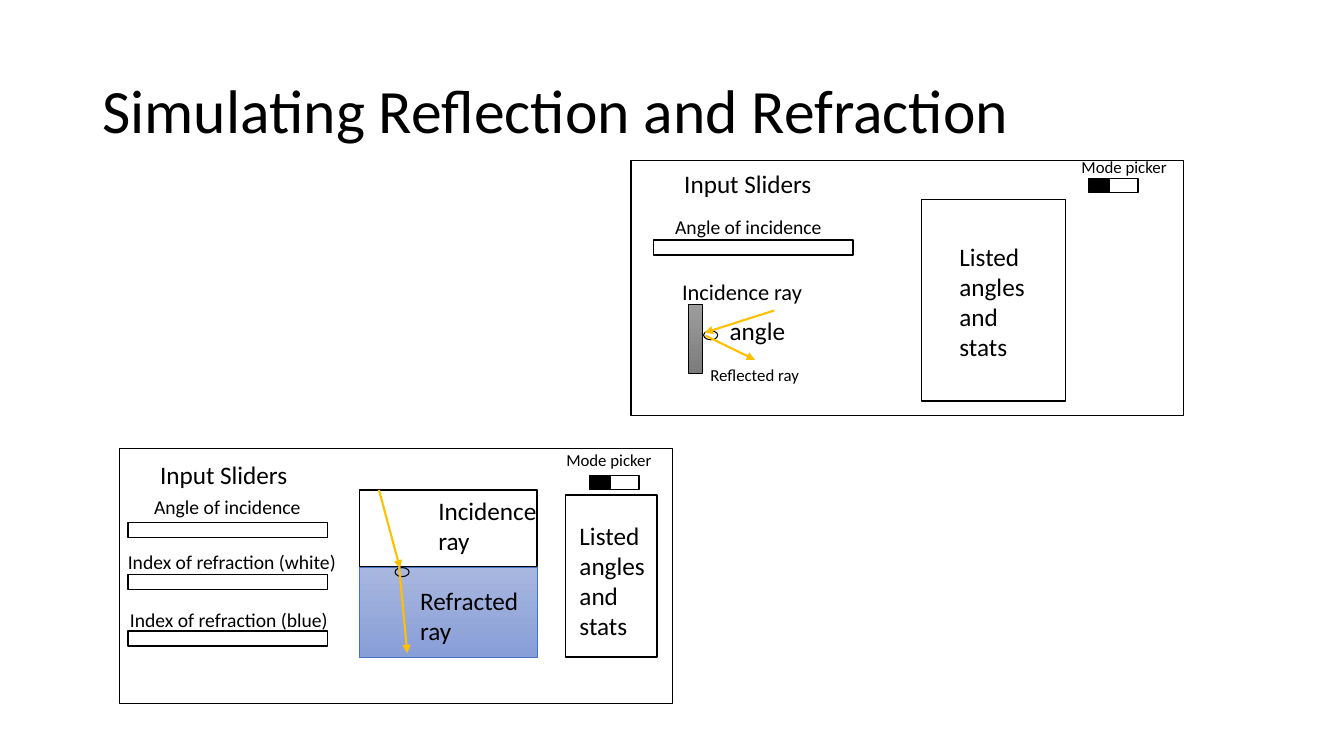
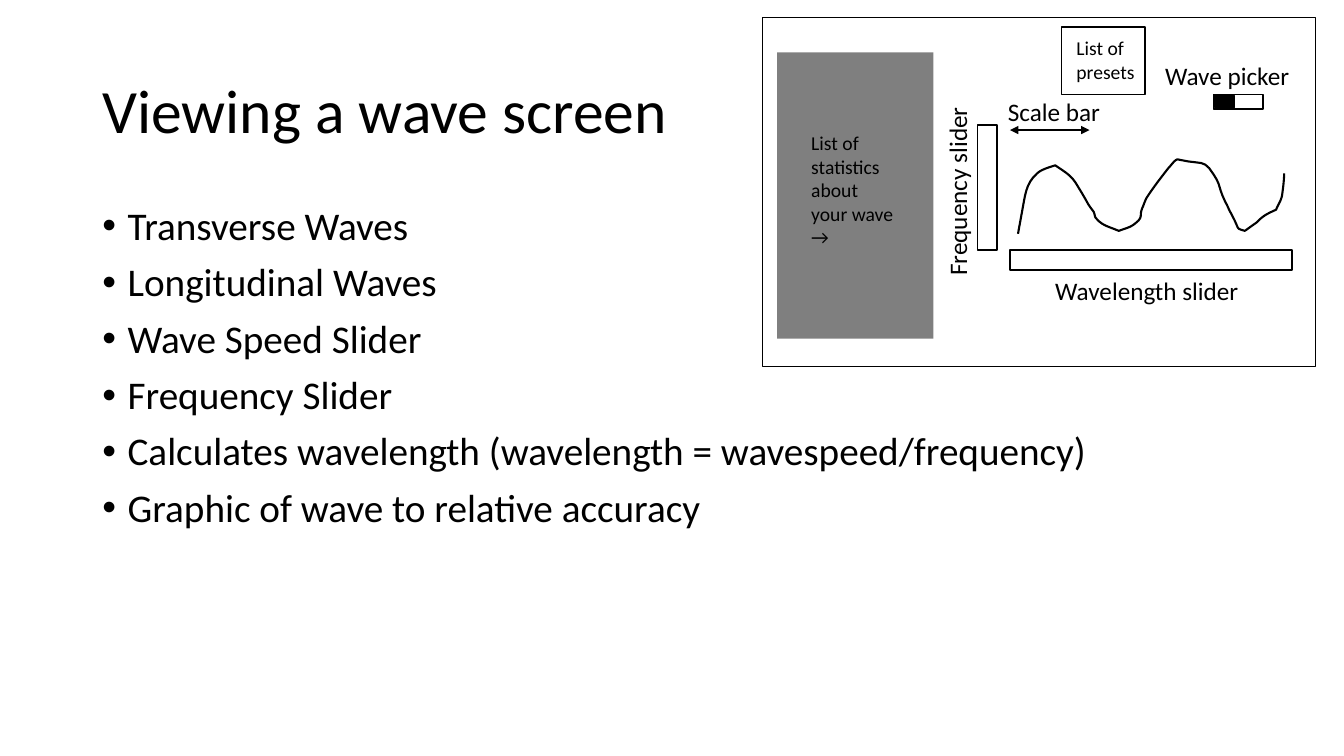
from dataclasses import dataclass

from lxml import etree
from pptx import Presentation
from pptx.dml.color import RGBColor
from pptx.enum import shapes, text
from pptx.oxml.ns import qn
from pptx.util import Pt


@dataclass(frozen=True)
class Theme:
    font: str = "Calibri"
    black: str = "000000"
    white: str = "FFFFFF"
    ray: str = "FFC000"
    water_edge: str = "4472C4"
    water: tuple = ("A8B7DF", "889ED7")
    mirror: tuple = ("9D9D9D", "7C7C7C")
    title: int = 44
    body: int = 28
    large: int = 18
    medium: int = 16
    small: int = 14
    tiny: int = 12


T = Theme()
RECT, OVAL = shapes.MSO_SHAPE.RECTANGLE, shapes.MSO_SHAPE.OVAL


def add_box(s, x, y, w, h, fill=None, line=1, edge=T.black, kind=RECT):
    """Add a shape; fill is None, a colour or a pair of gradient colours."""
    sp = s.shapes.add_shape(kind, Pt(x), Pt(y), Pt(w), Pt(h))
    sp.shadow.inherit = False
    if fill is None:
        sp.fill.background()
    elif isinstance(fill, tuple):
        sp.fill.gradient()
        sp.fill.gradient_angle = 270
        for stop, position, colour in zip(sp.fill.gradient_stops, (0, 1), fill):
            stop.position = position
            stop.color.rgb = RGBColor.from_string(colour)
    else:
        sp.fill.solid()
        sp.fill.fore_color.rgb = RGBColor.from_string(fill)
    if line:
        sp.line.width = Pt(line)
        sp.line.color.rgb = RGBColor.from_string(edge)
    else:
        sp.line.fill.background()
    return sp


def format_text(tf, size):
    tf.word_wrap = True
    for p in tf.paragraphs:
        p.alignment = text.PP_ALIGN.LEFT
        for r in p.runs:
            r.font.name = T.font
            r.font.size = Pt(size)
            r.font.color.rgb = RGBColor.from_string(T.black)


prs = Presentation()
prs.slide_width, prs.slide_height = Pt(960), Pt(540)

# Slides and titles
TITLE_ONLY, TITLE_AND_CONTENT = 5, 1
slides = []
for layout, heading in ((TITLE_ONLY, "Simulating Reflection and Refraction"),
                        (TITLE_AND_CONTENT, "Viewing a wave screen")):
    s = prs.slides.add_slide(prs.slide_layouts[layout])
    title = s.shapes.title
    title.left, title.top, title.width, title.height = Pt(66), Pt(28.8), Pt(828), Pt(104.4)
    tf = title.text_frame
    tf.text = heading
    tf.auto_size = text.MSO_AUTO_SIZE.NONE
    tf.vertical_anchor = text.MSO_ANCHOR.MIDDLE
    tf.paragraphs[0].line_spacing = 0.9
    format_text(tf, T.title)
    slides.append(s)
optics, wave = slides

# Bullets
body = wave.placeholders[1]
body.left, body.top, body.width, body.height = Pt(66), Pt(144), Pt(828), Pt(342.7)
tf = body.text_frame
tf.text = "\n".join((
    "Transverse Waves",
    "Longitudinal Waves",
    "Wave Speed Slider",
    "Frequency Slider",
    "Calculates wavelength (wavelength = wavespeed/frequency)",
    "Graphic of wave to relative accuracy",
))
tf.auto_size = text.MSO_AUTO_SIZE.NONE
format_text(tf, T.body)
for p in tf.paragraphs:
    p.line_spacing = 0.9
    p.space_before = Pt(10)
    pPr = p._p.get_or_add_pPr()
    pPr.set("marL", str(Pt(18)))
    pPr.set("indent", str(-Pt(18)))

# Reflection and refraction screens
for x, y in ((450.7, 114.5), (85.7, 320.4)):
    add_box(optics, x, y, 394.6, 182.2, line=0.75)
for x, y in ((466.6, 171.4), (91.4, 373), (91.4, 410.4), (91.4, 450.7)):
    add_box(optics, x, y, 142.6, 10.8, T.white)
for x, y, w, h in ((658.1, 142.6, 103, 144), (403.9, 353.5, 65.5, 115.9)):
    add_box(optics, x, y, w, h, T.white)
add_box(optics, 491.8, 217.4, 10.1, 49, T.mirror, 0.5)
add_box(optics, 257, 349.9, 126.7, 54.7, T.white)
add_box(optics, 257, 405.4, 126.7, 64.1, T.water, 0.5, T.water_edge)
for x, y in ((502.6, 236.2), (282.2, 405.4)):
    add_box(optics, x, y, 10.1, 6.5, line=0.75, kind=OVAL)

# Wave screen
add_box(wave, 545, 12.2, 394.6, 249.8, line=0.75)
panel = add_box(wave, 555.1, 37.4, 111.6, 204.5, T.black, line=0)
colour = panel._element.spPr.find(".//" + qn("a:srgbClr"))
etree.SubElement(colour, qn("a:alpha")).set("val", "50000")
for x, y, w, h in ((698.4, 89.3, 13.7, 89.3), (721.4, 178.6, 201.6, 14.4),
                   (758.2, 19.4, 59.8, 48.2)):
    add_box(wave, x, y, w, h, T.white)

# Each curve: two control points and an end point
wave_start = (727.2, 167)
wave_curves = (
    ((728.6, 159.1), (730.1, 151.2), (731.5, 143.3)),
    ((733, 135.4), (734.4, 129.6), (740.9, 123.8)),
    ((743.8, 121), (749.5, 119.5), (753.8, 118.1)),
    ((758.9, 121.7), (764.6, 124.6), (768.2, 130.3)),
    ((779.8, 149), (774.7, 142.6), (781.2, 151.2)),
    ((781.9, 152.6), (781.9, 154.1), (782.6, 155.5)),
    ((787, 161.3), (792.7, 162), (799.2, 164.9)),
    ((802.8, 163.4), (807.1, 162.7), (810.7, 159.8)),
    ((817.2, 154.8), (813.6, 154.1), (815.8, 149)),
    ((817.2, 146.2), (817.9, 142.6), (820.1, 139.7)),
    ((824.4, 133.2), (829.4, 126.7), (834.5, 120.2)),
    ((836.6, 118.1), (838.8, 114.5), (841, 113.8)),
    ((859, 118.1), (859.7, 113), (866.9, 124.6)),
    ((872.6, 133.2), (869.8, 133.2), (875.5, 144.7)),
    ((877, 146.9), (877.7, 149.8), (879.1, 151.9)),
    ((886.3, 164.9), (882, 162.7), (889.2, 164.9)),
    ((891.4, 163.4), (894.2, 161.3), (896.4, 159.8)),
    ((898.6, 158.4), (900, 156.2), (902.2, 154.8)),
    ((905, 152.6), (908.6, 151.2), (911.5, 149.8)),
    ((913, 146.2), (915.1, 143.3), (915.8, 139.7)),
    ((916.6, 133.9), (917.3, 128), (917.3, 123.8)),
)
STEPS = 6
points, start = [], wave_start
for c1, c2, end in wave_curves:
    for t in (i / STEPS for i in range(1, STEPS + 1)):
        points.append(tuple(
            Pt((1 - t) ** 3 * a + 3 * t * (1 - t) ** 2 * b + 3 * t * t * (1 - t) * c + t ** 3 * d)
            for a, b, c, d in zip(start, c1, c2, end)))
    start = end
builder = wave.shapes.build_freeform(Pt(wave_start[0]), Pt(wave_start[1]))
builder.add_line_segments(points, close=False)
sp = builder.convert_to_shape()
sp.shadow.inherit = False
sp.fill.background()
sp.line.width = Pt(1.5)
sp.line.color.rgb = RGBColor.from_string(T.black)

# Two-way pickers
for s, x, y in ((optics, 777.6, 127.4), (optics, 421.2, 339.8), (wave, 866.9, 67.7)):
    add_box(s, x, y, 35.3, 10.1, T.white)
    add_box(s, x + 0.7, y + 0.7, 14.4, 8.6, T.black)

# Rays and scale bar
ONE_WAY, TWO_WAY = ("a:tailEnd",), ("a:headEnd", "a:tailEnd")
for s, x1, y1, x2, y2, colour, ends in (
    (optics, 553, 221.8, 503.3, 237.6, T.ray, ONE_WAY),
    (optics, 504, 239.8, 539.3, 257, T.ray, ONE_WAY),
    (optics, 270.7, 349.9, 285.8, 406.1, T.ray, ONE_WAY),
    (optics, 285.1, 404.6, 290.9, 466.6, T.ray, ONE_WAY),
    (wave, 721.4, 92.9, 778.3, 92.9, T.black, TWO_WAY),
):
    arrow = s.shapes.add_connector(shapes.MSO_CONNECTOR.STRAIGHT, Pt(x1), Pt(y1), Pt(x2), Pt(y2))
    arrow.line.width = Pt(1.5)
    arrow.line.color.rgb = RGBColor.from_string(colour)
    for tag in ends:
        etree.SubElement(arrow.line._get_or_add_ln(), qn(tag)).set("type", "triangle")
    etree.SubElement(arrow._element.spPr, qn("a:effectLst"))

# Labels
for s, wording, x, y, w, h, size, rotation in (
    (optics, "Input Sliders", 481.7, 116.6, 139.7, 28.8, T.large, 0),
    (optics, "Angle of incidence", 475.2, 149.8, 134.6, 24.5, T.small, 0),
    (optics, "Incidence ray", 480.2, 195.1, 117.4, 26.6, T.medium, 0),
    (optics, "angle", 514.1, 221.8, 78.5, 28.8, T.large, 0),
    (optics, "Reflected ray", 500.4, 257, 117.4, 21.6, T.tiny, 0),
    (optics, "Listed angles and stats", 678.2, 168.5, 77.8, 94.3, T.large, 0),
    (optics, "Mode picker", 765.4, 108.7, 108.7, 21.6, T.tiny, 0),
    (optics, "Input Sliders", 107.3, 324.7, 139.7, 28.8, T.large, 0),
    (optics, "Angle of incidence", 103, 349.9, 134.6, 24.5, T.small, 0),
    (optics, "Index of refraction (white)", 84.2, 389.5, 169.2, 24.5, T.small, 0),
    (optics, "Index of refraction (blue)", 85.7, 430.6, 165.6, 24.5, T.small, 0),
    (optics, "Incidence ray", 306, 349.9, 86, 51.1, T.large, 0),
    (optics, "Refracted ray", 293, 414.7, 97.2, 51.1, T.large, 0),
    (optics, "Listed angles and stats", 406.8, 367.9, 77.8, 94.3, T.large, 0),
    (optics, "Mode picker", 397.4, 317.5, 108.7, 21.6, T.tiny, 0),
    (wave, "Wavelength slider", 746.6, 193, 164.9, 28.8, T.large, 0),
    (wave, "Frequency slider", 600.5, 106.6, 166.3, 28.8, T.large, 270),
    (wave, "Scale bar", 712.8, 65.5, 97.9, 28.8, T.large, 0),
    (wave, "Wave picker", 825.1, 39.6, 108.7, 28.8, T.large, 0),
    (wave, "List of presets", 761.8, 22.3, 74.2, 41, T.small, 0),
    (wave, "List of statistics about your wave →", 572.4, 90, 74.2, 92.2, T.small, 0),
):
    label = s.shapes.add_textbox(Pt(x), Pt(y), Pt(w), Pt(h))
    label.rotation = rotation
    tf = label.text_frame
    tf.text = wording
    tf.auto_size = text.MSO_AUTO_SIZE.SHAPE_TO_FIT_TEXT
    format_text(tf, size)

prs.save("out.pptx")
